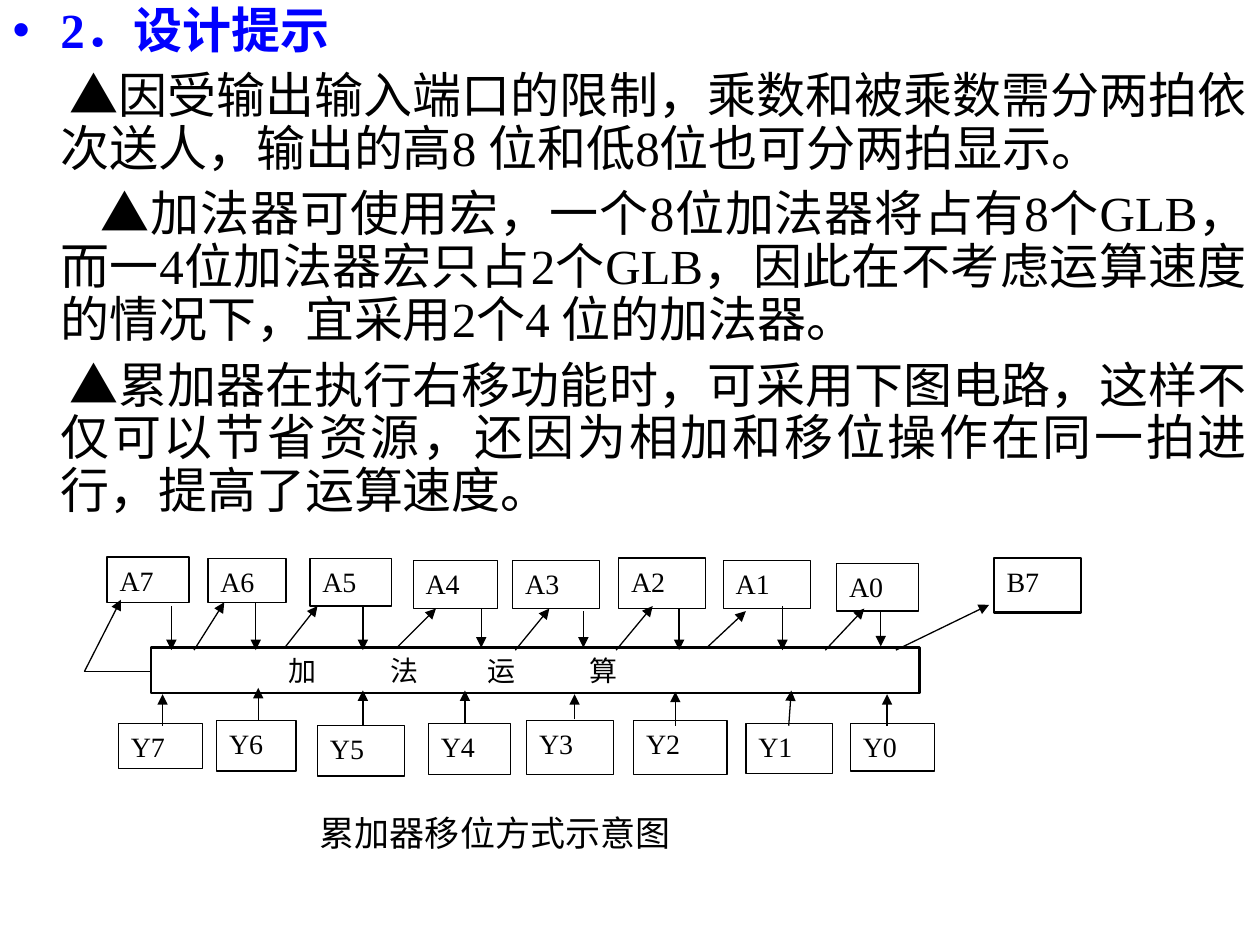
from lxml import etree
from pptx import Presentation
from pptx.dml.color import RGBColor
from pptx.enum.shapes import MSO_CONNECTOR, MSO_SHAPE
from pptx.enum.text import MSO_ANCHOR, MSO_AUTO_SIZE, PP_ALIGN
from pptx.oxml.ns import qn
from pptx.util import Inches, Pt

BLACK = RGBColor(0x00, 0x00, 0x00)
WHITE = RGBColor(0xFF, 0xFF, 0xFF)
BLUE = RGBColor(0x00, 0x00, 0xFF)
FONT_NAME = "Times New Roman"
STRAIGHT = MSO_CONNECTOR.STRAIGHT
RECTANGLE = MSO_SHAPE.RECTANGLE
TOP = MSO_ANCHOR.TOP
NO_AUTOFIT = MSO_AUTO_SIZE.NONE
JUSTIFY = PP_ALIGN.JUSTIFY
LEFT = PP_ALIGN.LEFT

HEADING = "2．设计提示"
HINTS = [
    ("▲因受输出输入端口的限制，乘数和被乘数需分两拍依次送人，输出的高8 位和低8位也可分两拍显示。", 0.07),
    ("▲加法器可使用宏，一个8位加法器将占有8个GLB，而一4位加法器宏只占2个GLB，"
     "因此在不考虑运算速度的情况下，宜采用2个4 位的加法器。", 0.32),
    ("▲累加器在执行右移功能时，可采用下图电路，这样不仅可以节省资源，"
     "还因为相加和移位操作在同一拍进行，提高了运算速度。", 0.07),
]
ADDER_BOX = (1.2, 5.14, 6.1, 0.36)
ADDER_TABS = [0.99, 1.8, 2.57, 3.38]
ACCUMULATOR_BOXES = [
    (0.85, 4.42, 0.65, 0.36), (1.65, 4.43, 0.62, 0.35), (2.46, 4.43, 0.65, 0.38),
    (3.28, 4.45, 0.67, 0.38), (4.07, 4.45, 0.69, 0.38), (4.91, 4.43, 0.69, 0.4),
    (5.74, 4.45, 0.69, 0.38), (6.64, 4.47, 0.65, 0.38),
]
INPUT_BOXES = [
    (0.94, 5.74, 0.67, 0.36), (1.72, 5.72, 0.63, 0.4), (2.52, 5.76, 0.69, 0.4),
    (3.4, 5.74, 0.65, 0.41), (4.18, 5.72, 0.69, 0.43), (5.03, 5.72, 0.74, 0.43),
    (5.92, 5.74, 0.69, 0.4), (6.75, 5.74, 0.67, 0.38),
]
DOWN_ARROWS = [
    (1.36, 4.81, 5.16), (2.03, 4.78, 5.16), (2.88, 4.81, 5.16), (3.82, 4.83, 5.14),
    (4.63, 4.85, 5.14), (5.39, 4.83, 5.16), (6.21, 4.81, 5.16), (6.99, 4.86, 5.13),
]
SHIFT_ARROWS = [
    (0.67, 5.33, 0.96, 4.76), (1.54, 5.16, 1.78, 4.78), (2.26, 5.14, 2.52, 4.81),
    (3.15, 5.14, 3.46, 4.83), (4.09, 5.16, 4.36, 4.83), (4.89, 5.16, 5.18, 4.81),
    (5.61, 5.14, 5.92, 4.85), (6.55, 5.16, 6.86, 4.83), (7.11, 5.16, 7.85, 4.8),
]
INPUT_ARROWS = [
    (1.29, 5.76, 1.29, 5.51), (2.05, 5.72, 2.05, 5.46), (2.88, 5.76, 2.88, 5.48),
    (3.69, 5.74, 3.69, 5.48), (4.56, 5.71, 4.56, 5.51), (5.36, 5.76, 5.36, 5.49),
    (6.26, 5.76, 6.28, 5.48), (7.04, 5.76, 7.04, 5.51),
]


def set_attributes(target, values):
    """Set each named attribute of the target."""
    for name, value in values.items():
        setattr(target, name, value)


def format_frame(frame):
    """Give a text frame its margins, wrapping and anchor."""
    set_attributes(frame, {
        "margin_left": Inches(0.1), "margin_right": Inches(0.1),
        "margin_top": Inches(0.05), "margin_bottom": Inches(0.05),
        "word_wrap": True, "auto_size": NO_AUTOFIT, "vertical_anchor": TOP,
    })


def write_text(paragraph, text, size, color=BLACK, bold=False, alignment=JUSTIFY):
    """Write formatted text into a paragraph."""
    paragraph.text = text
    paragraph.alignment = alignment
    set_attributes(paragraph.runs[0].font, {"name": FONT_NAME, "size": Pt(size), "bold": bold})
    paragraph.runs[0].font.color.rgb = color


def set_indent(paragraph, margin, first_line):
    """Set the indents of a paragraph and keep punctuation inside its margins."""
    properties = paragraph._p.get_or_add_pPr()
    properties.set("marL", str(Inches(margin)))
    properties.set("indent", str(Inches(first_line)))
    properties.set("hangingPunct", "0")
    return properties


def set_tabs(paragraph, positions):
    """Set left tab stops on a paragraph."""
    tab_list = etree.SubElement(paragraph._p.get_or_add_pPr(), qn("a:tabLst"))
    for position in positions:
        etree.SubElement(tab_list, qn("a:tab"), pos=str(Inches(position)), algn="l")


def fill_body(body):
    """Place the body placeholder and write the heading and hints."""
    set_attributes(body, {"left": Inches(0), "top": Inches(0),
                          "width": Inches(10), "height": Inches(4.5)})
    frame = body.text_frame
    format_frame(frame)
    heading = frame.paragraphs[0]
    write_text(heading, HEADING, 28, BLUE, True)
    bullet = etree.SubElement(set_indent(heading, 0.38, -0.38), qn("a:buChar"))
    bullet.set("char", "•")
    for text, first_line in HINTS:
        paragraph = frame.add_paragraph()
        write_text(paragraph, text, 28)
        etree.SubElement(set_indent(paragraph, 0.38, first_line), qn("a:buNone"))
    for paragraph in frame.paragraphs:
        set_attributes(paragraph, {"line_spacing": 0.9, "space_before": Pt(7)})


def add_box(shapes, text, box, line_width=0.75, alignment=JUSTIFY):
    """Add a white labelled register box and return its paragraph."""
    shape = shapes.add_shape(RECTANGLE, *map(Inches, box))
    shape.shadow.inherit = False
    shape.fill.solid()
    shape.fill.fore_color.rgb = WHITE
    shape.line.color.rgb = BLACK
    shape.line.width = Pt(line_width)
    format_frame(shape.text_frame)
    paragraph = shape.text_frame.paragraphs[0]
    write_text(paragraph, text, 16, alignment=alignment)
    return paragraph


def add_line(shapes, ends, arrow=True):
    """Add a thin black line, with an arrowhead at its end if wanted."""
    connector = shapes.add_connector(STRAIGHT, *map(Inches, ends))
    connector.line.color.rgb = BLACK
    connector.line.width = Pt(0.75)
    if arrow:
        etree.SubElement(connector.line._get_or_add_ln(), qn("a:tailEnd"), type="triangle")
    etree.SubElement(connector._element.spPr, qn("a:effectLst"))


def add_caption(shapes):
    """Add the caption under the diagram."""
    caption = shapes.add_textbox(*map(Inches, (1.63, 6.39, 4.71, 0.45)))
    format_frame(caption.text_frame)
    paragraph = caption.text_frame.paragraphs[0]
    write_text(paragraph, "累加器移位方式示意图", 20)
    set_indent(paragraph, 0, 0.81)


def add_diagram(slide):
    """Add the shifting accumulator diagram as one group."""
    shapes = slide.shapes.add_group_shape().shapes
    for prefix, boxes in (("A", ACCUMULATOR_BOXES), ("Y", INPUT_BOXES)):
        for index, box in enumerate(boxes):
            add_box(shapes, f"{prefix}{7 - index}", box)
    add_box(shapes, "B7", (7.89, 4.43, 0.69, 0.43), 1.5)
    adder = add_box(shapes, "\t加\t法\t运\t算", ADDER_BOX, 1.5, LEFT)
    set_tabs(adder, ADDER_TABS)
    add_line(shapes, (1.2, 5.33, 0.67, 5.33), arrow=False)
    for x, top, bottom in DOWN_ARROWS:
        add_line(shapes, (x, top, x, bottom))
    for ends in SHIFT_ARROWS + INPUT_ARROWS:
        add_line(shapes, ends)
    add_caption(shapes)


def main():
    """Build the slide and save it."""
    presentation = Presentation()
    presentation.slide_width = Inches(10)
    presentation.slide_height = Inches(7.5)
    slide = presentation.slides.add_slide(presentation.slide_layouts[1])
    title = slide.shapes.title._element
    title.getparent().remove(title)
    fill_body(slide.placeholders[1])
    add_diagram(slide)
    presentation.save("out.pptx")


if __name__ == "__main__":
    main()
